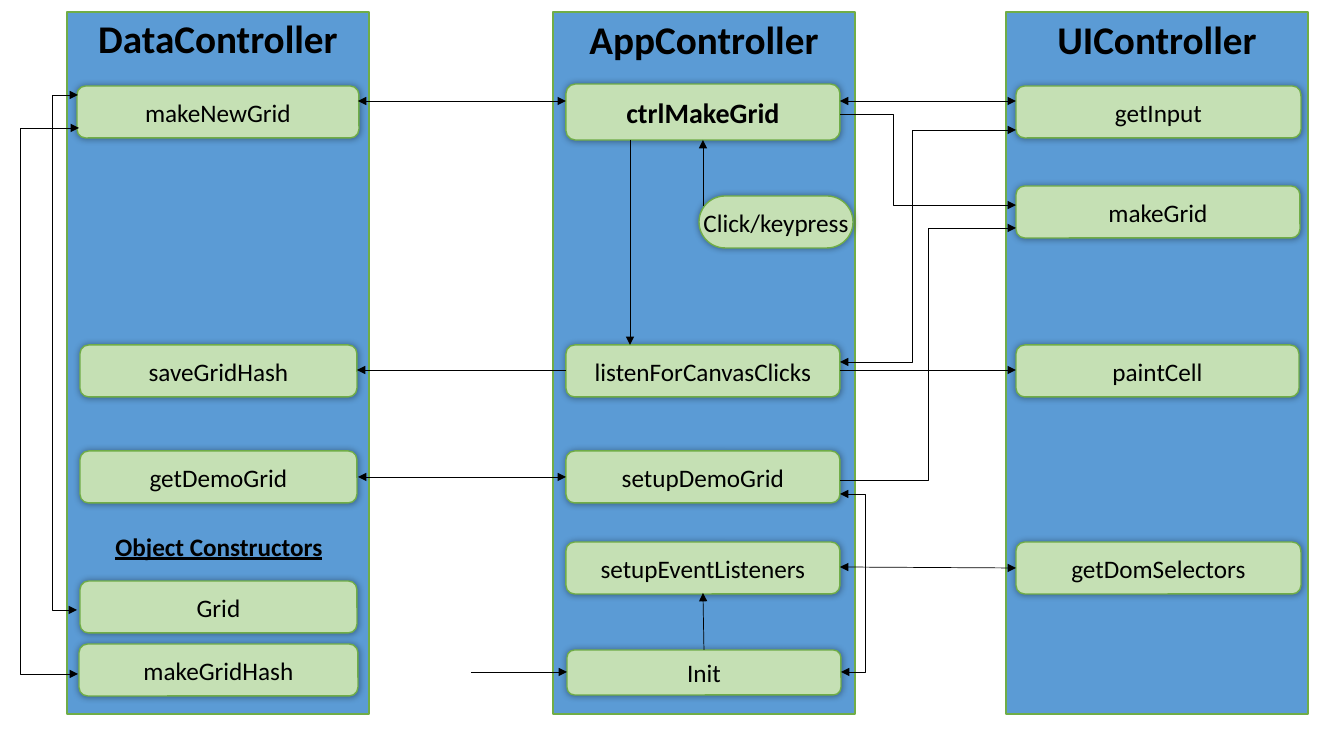
import pptx
import pptx.util
import pptx.dml.color
import pptx.enum.shapes
import pptx.enum.text
import pptx.oxml
import pptx.oxml.ns

PX = 914400 / 100.8
THEME = {
    "font": "Calibri", "ink": "000000", "column": "5B9BD5",
    "module": "C5E0B4", "border": "70AD47",
    "heading": 28, "key": 20, "body": 18, "border_pt": 1, "arrow_pt": 0.5,
}
SHAPES = pptx.enum.shapes.MSO_SHAPE
CONNECTORS = pptx.enum.shapes.MSO_CONNECTOR
ANCHORS = pptx.enum.text.MSO_ANCHOR
SHADOW = ('<a:effectLst %s><a:outerShdw blurRad="63500" dist="0" dir="0" algn="ctr" rotWithShape="0">'
          '<a:srgbClr val="000000"><a:alpha val="40000"/></a:srgbClr></a:outerShdw></a:effectLst>'
          % pptx.oxml.ns.nsdecls("a"))


def px(*lengths):
    return [pptx.util.Emu(round(length * PX)) for length in lengths]


def add_text(text, left, top, width, height, *, fill=None, corner=0.1667, size=THEME["body"],
             bold=False, underline=False, anchor=ANCHORS.MIDDLE, shadow=False):
    """Add a text box, or a rounded box when a fill is given."""
    place = px(left, top, width, height)
    if fill:
        item = slide.shapes.add_shape(SHAPES.ROUNDED_RECTANGLE, *place)
        item.adjustments[0] = corner
        item.shadow.inherit = False
        item.fill.solid()
        item.fill.fore_color.rgb = pptx.dml.color.RGBColor.from_string(THEME[fill])
        item.line.color.rgb = pptx.dml.color.RGBColor.from_string(THEME["border"])
        item.line.width = pptx.util.Pt(THEME["border_pt"])
        if shadow:
            effects = item._element.spPr.find(pptx.oxml.ns.qn("a:effectLst"))
            effects.getparent().replace(effects, pptx.oxml.parse_xml(SHADOW))
    else:
        item = slide.shapes.add_textbox(*place)
    if text:
        frame = item.text_frame
        frame.word_wrap = not fill
        frame.vertical_anchor = anchor
        paragraph = frame.paragraphs[0]
        paragraph.alignment = pptx.enum.text.PP_ALIGN.CENTER
        run = paragraph.add_run()
        run.text = text
        run.font.name = THEME["font"]
        run.font.size = pptx.util.Pt(size)
        run.font.bold = bold
        run.font.underline = underline
        run.font.color.rgb = pptx.dml.color.RGBColor.from_string(THEME["ink"])


deck = pptx.Presentation()
deck.slide_width, deck.slide_height = px(1344, 756)
slide = deck.slides.add_slide(deck.slide_layouts[6])

# Controller columns with their headings
for controller, left, heading_top in [
    ("DataController", 67, 0), ("AppController", 553, 1), ("UIController", 1006, 1),
]:
    add_text("", left, 12, 302, 702, fill="column", corner=0)
    add_text(controller, left, heading_top, 302, 76, size=THEME["heading"], bold=True)

# Functions of each controller: name, left, top, width
for function, left, top, width in [
    ("makeNewGrid", 77, 86, 282),
    ("saveGridHash", 80, 345, 277),
    ("getDemoGrid", 80, 451, 277),
    ("Grid", 80, 581, 277),
    ("makeGridHash", 79, 644, 279),
    ("listenForCanvasClicks", 566, 345, 274),
    ("setupDemoGrid", 566, 451, 274),
    ("setupEventListeners", 566, 542, 274),
    ("getInput", 1016, 86, 285),
    ("makeGrid", 1016, 186, 284),
    ("paintCell", 1016, 345, 283),
    ("getDomSelectors", 1016, 542, 285),
]:
    add_text(function, left, top, width, 52, fill="module", shadow=True)

# Entry points and the subheading
add_text("ctrlMakeGrid", 566, 84, 274, 56, fill="module", shadow=True, size=THEME["key"], bold=True)
add_text("Init", 567, 650, 274, 45, fill="module", shadow=True)
add_text("Click/keypress", 699, 196, 154, 52, fill="module", shadow=True, corner=0.5)
add_text("Object Constructors", 82, 526, 274, 40, bold=True, underline=True, anchor=ANCHORS.TOP)

# Calls: start, end, x of the bend (None when straight), arrow at both ends
for start, end, bend, two_way in [
    ((703, 206), (703, 140), None, False),
    ((840, 101), (1016, 101), None, True),
    ((358, 101), (566, 101), None, True),
    ((471, 672), (567, 672), None, False),
    ((704, 650), (703, 593), None, False),
    ((840, 567), (1016, 568), None, True),
    ((358, 477), (566, 477), None, True),
    ((566, 370), (357, 370), None, False),
    ((630, 140), (630, 345), None, False),
    ((840, 370), (1016, 370), None, False),
    ((841, 672), (840, 494), 866, True),
    ((840, 480), (1016, 228), 928, False),
    ((840, 362), (1016, 130), 912, True),
    ((840, 114), (1016, 205), 893, False),
    ((77, 610), (78, 95), 52, True),
    ((78, 674), (79, 128), 20, True),
]:
    kind = CONNECTORS.ELBOW if bend else CONNECTORS.STRAIGHT
    call = slide.shapes.add_connector(kind, *px(*start, *end))
    call.line.color.rgb = pptx.dml.color.RGBColor.from_string(THEME["ink"])
    call.line.width = pptx.util.Pt(THEME["arrow_pt"])
    properties = call._element.spPr
    pptx.oxml.ns.qn("a:effectLst")
    properties.append(pptx.oxml.parse_xml("<a:effectLst %s/>" % pptx.oxml.ns.nsdecls("a")))
    for tip in ["headEnd", "tailEnd"] if two_way else ["tailEnd"]:
        call.line._get_or_add_ln().append(pptx.oxml.parse_xml(
            '<a:%s %s type="triangle"/>' % (tip, pptx.oxml.ns.nsdecls("a"))))
    if bend:
        share = round(100000 * (bend - start[0]) / (end[0] - start[0]))
        guides = properties.find(pptx.oxml.ns.qn("a:prstGeom")).get_or_add_avLst()
        guides.append(pptx.oxml.parse_xml(
            '<a:gd %s name="adj1" fmla="val %d"/>' % (pptx.oxml.ns.nsdecls("a"), share)))

deck.save("out.pptx")
